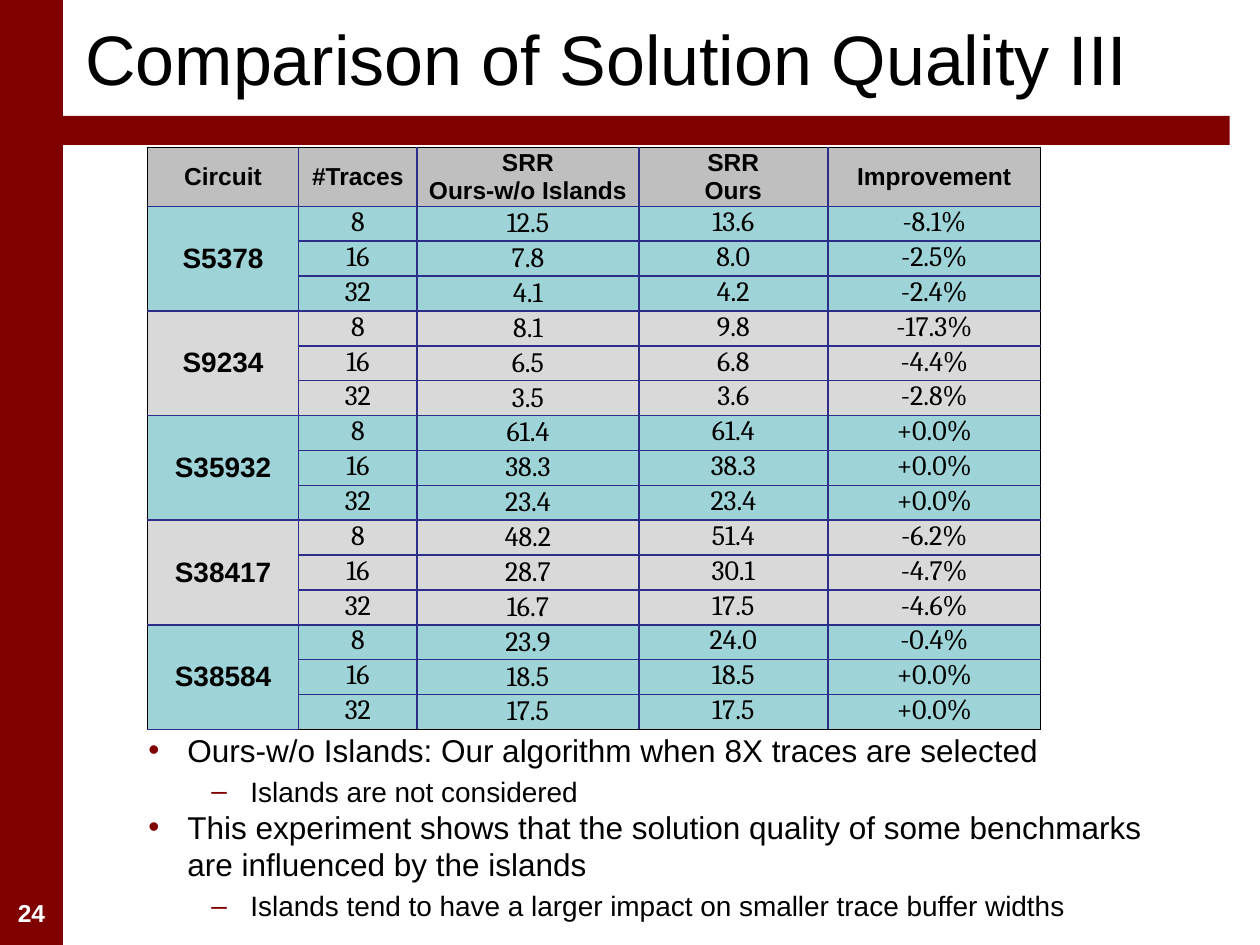
from lxml.etree import SubElement
from pptx import Presentation
from pptx.dml.color import RGBColor
from pptx.enum.shapes import MSO_SHAPE
from pptx.enum.text import MSO_ANCHOR, PP_ALIGN
from pptx.oxml.ns import qn
from pptx.util import Inches, Pt

COLORS = {
    "maroon": "800000", "white": "FFFFFF", "black": "000000", "navy": "2D2D8A",
    "header": "BFBFBF", "teal": "9ED3D7", "gray": "D9D9D9",
}
HEADERS = ["Circuit", "#Traces", "SRR\nOurs-w/o Islands", "SRR\nOurs", "Improvement"]
COLUMN_WIDTHS = [1.2, 0.94, 1.76, 1.5, 1.69]
TRACES = ["8", "16", "32"]
RESULTS = {
    "S5378": [("12.5", "13.6", "-8.1%"), ("7.8", "8.0", "-2.5%"), ("4.1", "4.2", "-2.4%")],
    "S9234": [("8.1", "9.8", "-17.3%"), ("6.5", "6.8", "-4.4%"), ("3.5", "3.6", "-2.8%")],
    "S35932": [("61.4", "61.4", "+0.0%"), ("38.3", "38.3", "+0.0%"), ("23.4", "23.4", "+0.0%")],
    "S38417": [("48.2", "51.4", "-6.2%"), ("28.7", "30.1", "-4.7%"), ("16.7", "17.5", "-4.6%")],
    "S38584": [("23.9", "24.0", "-0.4%"), ("18.5", "18.5", "+0.0%"), ("17.5", "17.5", "+0.0%")],
}
REMARKS = [
    (0, "Ours-w/o Islands: Our algorithm when 8X traces are selected"),
    (1, "Islands are not considered"),
    (0, "This experiment shows that the solution quality of some benchmarks "
        "are influenced by the islands"),
    (1, "Islands tend to have a larger impact on smaller trace buffer widths"),
]
REMARK_LEVELS = [("•", 0.31, 18, 0), ("–", 0.81, 16, 0.2)]


def rgb(color):
    return RGBColor.from_string(COLORS[color])


def add_run(paragraph, text, size, color="black", bold=False, font="Arial"):
    run = paragraph.add_run()
    run.text = text
    run.font.size = Pt(size)
    run.font.name = font
    run.font.bold = bold
    run.font.color.rgb = rgb(color)


def add_band(slide, left, top, width, height):
    band = slide.shapes.add_shape(
        MSO_SHAPE.RECTANGLE, Inches(left), Inches(top), Inches(width), Inches(height))
    band.shadow.inherit = False
    band.fill.solid()
    band.fill.fore_color.rgb = rgb("maroon")
    band.line.fill.background()


def add_text_frame(slide, left, top, width, height):
    frame = slide.shapes.add_textbox(
        Inches(left), Inches(top), Inches(width), Inches(height)).text_frame
    frame.word_wrap = True
    return frame


def add_title(slide, text):
    frame = add_text_frame(slide, 0.58, -0.08, 9.17, 1.08)
    frame.vertical_anchor = MSO_ANCHOR.MIDDLE
    add_run(frame.paragraphs[0], text, 40)


def add_page_number(slide, number):
    paragraph = add_text_frame(slide, 0, 7.08, 0.5, 0.33).paragraphs[0]
    paragraph.alignment = PP_ALIGN.CENTER
    add_run(paragraph, number, 14, "white", True)


def set_borders(cell, edge_colors):
    properties = cell._tc.get_or_add_tcPr()
    for position, (side, color) in enumerate(edge_colors.items()):
        border = SubElement(properties, qn(f"a:{side}"), w=str(Pt(1)))
        fill = SubElement(border, qn("a:solidFill"))
        SubElement(fill, qn("a:srgbClr"), val=COLORS[color])
        properties.remove(border)
        properties.insert(position, border)


def style_cell(cell, fill, edge_colors, middle):
    cell.margin_left = cell.margin_right = Inches(0.01)
    cell.margin_top = cell.margin_bottom = 0
    cell.vertical_anchor = MSO_ANCHOR.MIDDLE if middle else MSO_ANCHOR.TOP
    cell.fill.solid()
    cell.fill.fore_color.rgb = rgb(fill)
    set_borders(cell, edge_colors)


def write_cell(cell, text, size, bold, font):
    frame = cell.text_frame
    for index, line in enumerate(text.split("\n")):
        paragraph = frame.add_paragraph() if index else frame.paragraphs[0]
        paragraph.alignment = PP_ALIGN.CENTER
        add_run(paragraph, line, size, bold=bold, font=font)


def add_results_table(slide):
    rows = [HEADERS]
    for circuit, results in RESULTS.items():
        for index, (traces, values) in enumerate(zip(TRACES, results)):
            rows.append(["" if index else circuit, traces, *values])
    last_row, last_column = len(rows) - 1, len(HEADERS) - 1
    table = slide.shapes.add_table(
        len(rows), len(HEADERS), Inches(1.17), Inches(1.17), Inches(7.09), Inches(3.85)).table
    table.first_row = table.horz_banding = False
    for column, width in zip(table.columns, COLUMN_WIDTHS):
        column.width = Inches(width)
    for r, values in enumerate(rows):
        table.rows[r].height = Inches(0.23 if r else 0.4)
        fill = ("teal", "gray")[(r - 1) // len(TRACES) % 2] if r else "header"
        for c, text in enumerate(values):
            cell = table.cell(r, c)
            on_edge = {"lnL": c == 0, "lnR": c == last_column,
                       "lnT": r == 0, "lnB": r == last_row}
            edge_colors = {side: "black" if outer else "navy" for side, outer in on_edge.items()}
            label = r == 0 or c == 0
            style_cell(cell, fill, edge_colors, label)
            if r and c == 2:
                cell.margin_top = Inches(0.01)
            if text:
                write_cell(cell, text, 16 if r else 14, label, "Arial" if label else "Cambria")
    for first in range(1, len(rows), len(TRACES)):
        table.cell(first, 0).merge(table.cell(first + len(TRACES) - 1, 0))


def add_bullet(paragraph, symbol, indent):
    properties = paragraph._p.get_or_add_pPr()
    properties.set("marL", str(Inches(indent)))
    properties.set("indent", str(-Inches(0.31)))
    bullet_color = SubElement(properties, qn("a:buClr"))
    SubElement(bullet_color, qn("a:srgbClr"), val=COLORS["maroon"])
    SubElement(properties, qn("a:buFont"), typeface="Arial")
    SubElement(properties, qn("a:buChar"), char=symbol)


def add_remarks(slide):
    frame = add_text_frame(slide, 1.08, 5.75, 8.5, 1.66)
    for index, (level, text) in enumerate(REMARKS):
        symbol, indent, size, space = REMARK_LEVELS[level]
        paragraph = frame.add_paragraph() if index else frame.paragraphs[0]
        paragraph.level = level
        add_bullet(paragraph, symbol, indent)
        paragraph.space_before = Pt(size * space)
        add_run(paragraph, text, size)


def main():
    presentation = Presentation()
    presentation.slide_width, presentation.slide_height = Inches(10), Inches(7.5)
    slide = presentation.slides.add_slide(presentation.slide_layouts[6])
    add_band(slide, 0, 0, 0.5, 7.5)
    add_page_number(slide, "24")
    add_band(slide, 0.42, 0.92, 9.34, 0.23)
    add_title(slide, "Comparison of Solution Quality III")
    add_results_table(slide)
    add_remarks(slide)
    presentation.save("out.pptx")


if __name__ == "__main__":
    main()
